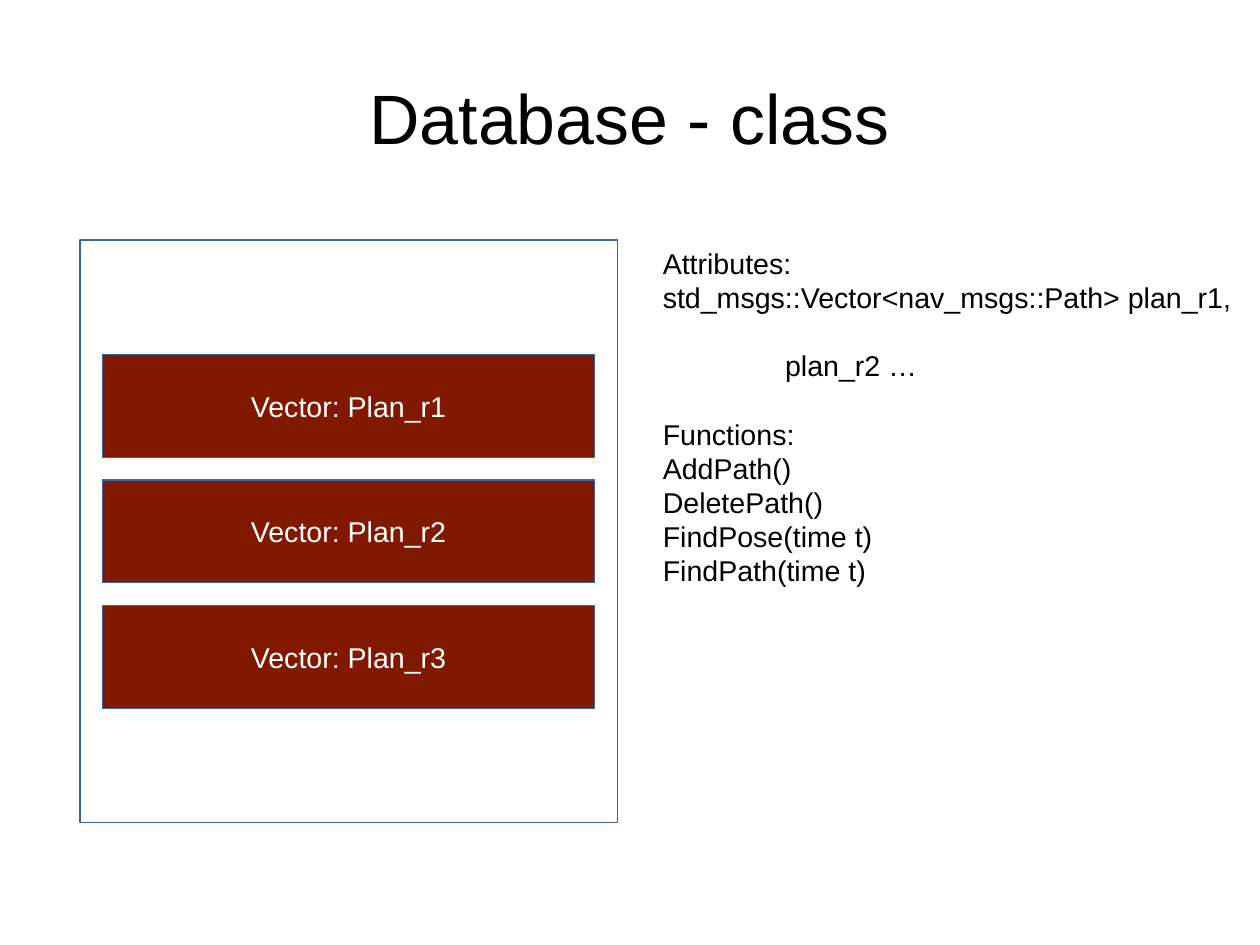
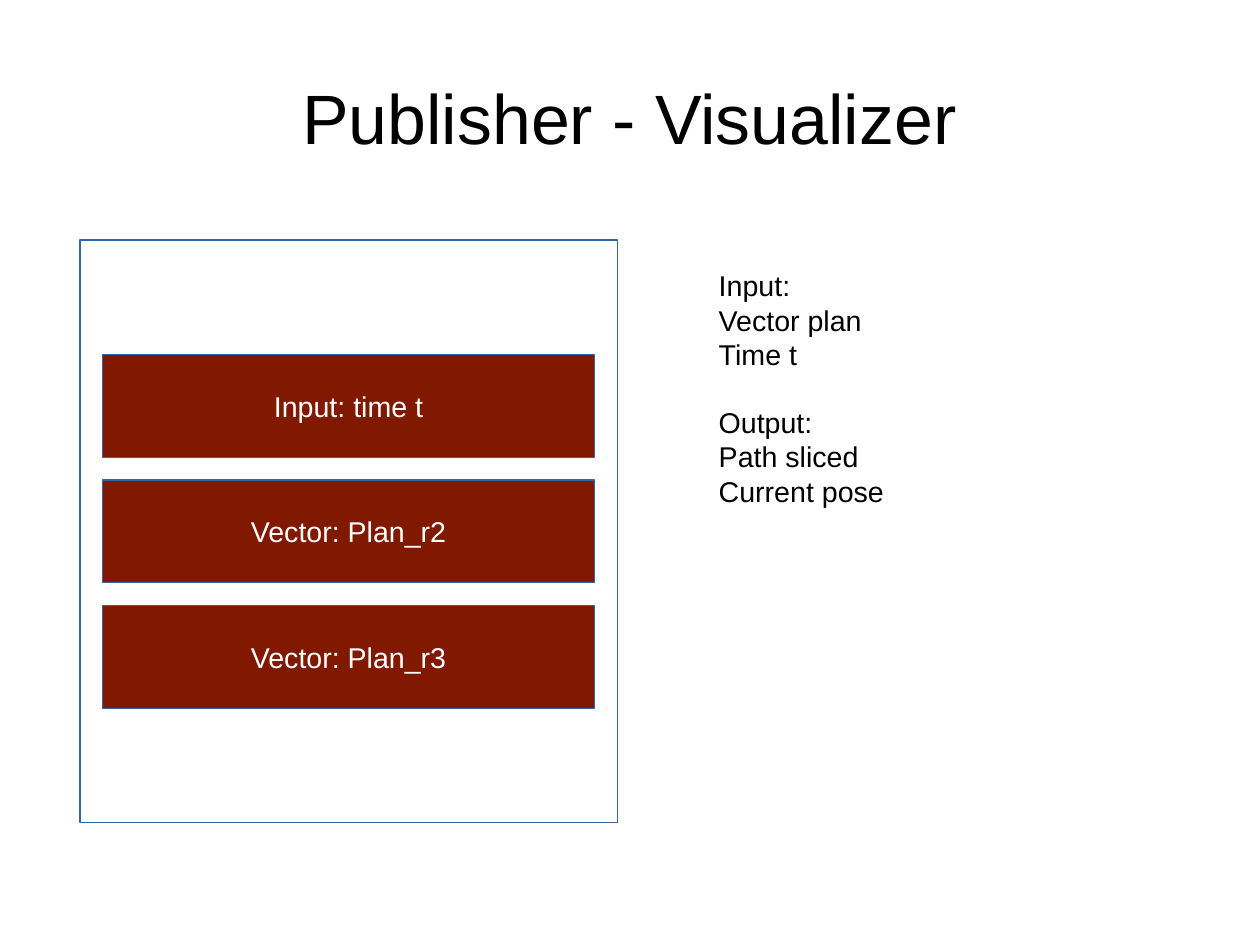
from pptx import Presentation
from pptx.dml.color import RGBColor
from pptx.enum.shapes import MSO_SHAPE
from pptx.enum.text import MSO_ANCHOR, PP_ALIGN
from pptx.util import Cm, Pt

PX = 9144  # 100 px to the inch
WIDE, HIGH = Cm(28), Cm(21)
RECT = MSO_SHAPE.RECTANGLE
MIDDLE = MSO_ANCHOR.MIDDLE
CENTER, LEFT = PP_ALIGN.CENTER, PP_ALIGN.LEFT
FONT = "Arial"
COLORS = {"text": "000000", "bar": "801900", "edge": "3465A4", "label": "FFFFFF"}
PITCH = Pt(21.55)  # line height of the notes

TITLE = (55, 33, 992, 138)
PANEL = (70, 210, 470, 510)

# Notes: groups of lines; each group after the first has a line's gap above
SLIDES = [
    ("Database - class",
     ["Vector: Plan_r1", "Vector: Plan_r2", "Vector: Plan_r3"],
     (570, 210, 532, 318),
     [(0, ["Attributes:", "std_msgs::Vector<nav_msgs::Path> plan_r1,"]),
      (107, ["plan_r2 …"]),
      (0, ["Functions:", "AddPath()", "DeletePath()",
           "FindPose(time t)", "FindPath(time t)"])]),
    ("Publisher - Visualizer",
     ["Input: time t", "Vector: Plan_r2", "Vector: Plan_r3"],
     (619, 230, 200, 206),
     [(0, ["Input:", "Vector plan", "Time t"]),
      (0, ["Output:", "Path sliced", "Current pose"])]),
]


def emu(box):
    return [v * PX for v in box]


def color(key):
    return RGBColor.from_string(COLORS[key])


def style(para, size, key, align):
    para.alignment = align
    for run in para.runs:
        run.font.name = FONT
        run.font.size = Pt(size)
        run.font.color.rgb = color(key)


def add_title(slide, text, box):
    title = slide.shapes.title
    title.left, title.top, title.width, title.height = emu(box)
    frame = title.text_frame
    frame.margin_left = frame.margin_right = 0
    frame.margin_top = frame.margin_bottom = 0
    frame.vertical_anchor = MIDDLE
    frame.text = text
    style(frame.paragraphs[0], 44, "text", CENTER)


def add_rect(slide, box, fill=None):
    rect = slide.shapes.add_shape(RECT, *emu(box))
    rect.shadow.inherit = False
    if fill:
        rect.fill.solid()
        rect.fill.fore_color.rgb = color(fill)
    else:
        rect.fill.background()
    rect.line.color.rgb = color("edge")
    rect.line.width = 0
    return rect


def add_panel(slide, labels, box):
    left, top, width, _ = box
    pad, head, high, gap = 20, 100, 90, 20
    # Stacked bars
    for i, label in enumerate(labels):
        y = top + head + i * (high + gap)
        bar = add_rect(slide, (left + pad, y, width - 2 * pad, high), "bar")
        frame = bar.text_frame
        frame.word_wrap = False
        frame.vertical_anchor = MIDDLE
        frame.text = label
        style(frame.paragraphs[0], 18, "label", CENTER)
    # Outline around the bars
    add_rect(slide, box)


def add_notes(slide, groups, box):
    frame = slide.shapes.add_textbox(*emu(box)).text_frame
    frame.word_wrap = True
    para = frame.paragraphs[0]
    for g, (indent, lines) in enumerate(groups):
        for n, line in enumerate(lines):
            if g or n:
                para = frame.add_paragraph()
            para.text = line
            para.line_spacing = PITCH
            if g and not n:
                para.space_before = PITCH
            if indent:
                props = para._p.get_or_add_pPr()
                props.set("marL", str(indent * PX))
                props.set("indent", "0")
            style(para, 18, "text", LEFT)


def main():
    deck = Presentation()
    deck.slide_width, deck.slide_height = WIDE, HIGH
    for title, labels, area, groups in SLIDES:
        slide = deck.slides.add_slide(deck.slide_layouts[5])
        add_title(slide, title, TITLE)
        add_panel(slide, labels, PANEL)
        add_notes(slide, groups, area)
    deck.save("out.pptx")


if __name__ == "__main__":
    main()
